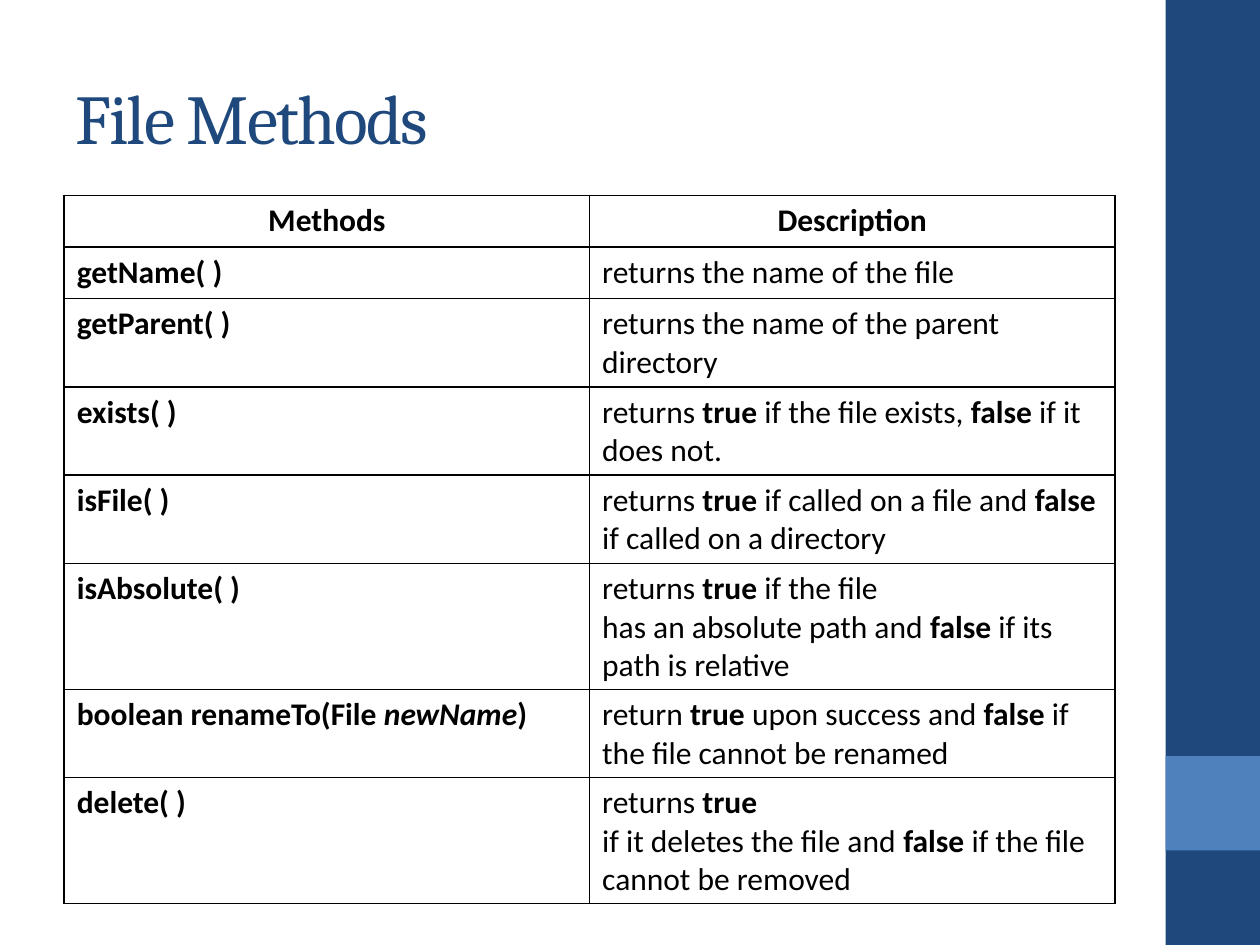
from pptx import Presentation
from pptx.dml.color import RGBColor as Rgb
from pptx.enum.shapes import MSO_SHAPE as Kind
from pptx.enum.text import MSO_ANCHOR as Anchor, PP_ALIGN as Align
from pptx.oxml import parse_xml
from pptx.oxml.ns import nsdecls
from pptx.util import Pt

PX = 9144
HUES = {"navy": "1F497D", "blue": "4F81BD", "black": "000000"}
HEAD = ["Methods", "Description"]
ROWS = [
    ("getName( )", "returns the name of the file"),
    ("getParent( )", "returns the name of the parent directory"),
    ("exists( )", "returns *true *if the file exists, *false *if it does not."),
    ("isFile( )", "returns *true *if called on a file and *false *if called on a directory"),
    ("isAbsolute( )", "returns *true *if the file\nhas an absolute path and *false *if its path is relative"),
    ("boolean renameTo(File *newName*)", "return *true *upon success and *false *if the file cannot be renamed"),
    ("delete( )", "returns *true*\nif it deletes the file and *false *if the file cannot be removed"),
]


def scale(*box):
    return [n * PX for n in box]


def style(run, face, size, hue):
    run.font.name = face
    run.font.size = Pt(size)
    run.font.color.rgb = Rgb.from_string(HUES[hue])


def band(slide, left, top, wide, high):
    for y, tall, hue in [(top, high, "navy"), (top + high - 2 * wide, wide, "blue")]:
        bar = slide.shapes.add_shape(Kind.RECTANGLE, *scale(left, y, wide, tall))
        bar.shadow.inherit = False
        bar.fill.solid()
        bar.fill.fore_color.rgb = Rgb.from_string(HUES[hue])
        bar.line.fill.background()


def title(slide, text, left, top, wide, high):
    frame = slide.shapes.add_textbox(*scale(left, top, wide, high)).text_frame
    frame.word_wrap = True
    frame.vertical_anchor = Anchor.MIDDLE
    frame.text = text
    run = frame.paragraphs[0].runs[0]
    style(run, "Cambria", 40, "navy")
    run._r.get_or_add_rPr().set("spc", "-100")


def border(cell):
    props = cell._tc.get_or_add_tcPr()
    for at, side in enumerate(["lnL", "lnR", "lnT", "lnB"]):
        props.insert(at, parse_xml(
            f'<a:{side} {nsdecls("a")} w="{Pt(1)}"><a:solidFill>'
            f'<a:srgbClr val="{HUES["black"]}"/></a:solidFill></a:{side}>'))


def write(cell, text, name):
    cell.fill.background()
    border(cell)
    cell.text_frame.text = text.replace("*", "")
    for para, line in zip(cell.text_frame.paragraphs, text.split("\n")):
        para.text = ""
        for at, part in enumerate(line.split("*")):
            if part:
                run = para.add_run()
                run.text = part
                style(run, "Calibri", 18, "black")
                marked = at % 2 == 1
                run.font.bold = name or marked
                run.font.italic = name and marked


def table(slide, left, top, wide, high):
    rows = [HEAD] + ROWS
    frame = slide.shapes.add_table(len(rows), len(HEAD), *scale(left, top, wide, high))
    grid = frame.table
    grid.first_row = grid.horz_banding = False
    for y, texts in enumerate(rows):
        grid.rows[y].height = 41 * PX
        for x, text in enumerate(texts):
            cell = grid.cell(y, x)
            write(cell, text, x == 0 or y == 0)
            if y == 0:
                cell.text_frame.paragraphs[0].alignment = Align.CENTER
    frame.height = high * PX


def main():
    deck = Presentation()
    deck.slide_width, deck.slide_height = scale(1000, 750)
    slide = deck.slides.add_slide(deck.slide_layouts[6])
    band(slide, 925, 0, 75, 750)
    title(slide, "File Methods", 50, 30, 833, 125)
    table(slide, 51, 155, 834, 561)
    deck.save("out.pptx")


if __name__ == "__main__":
    main()
